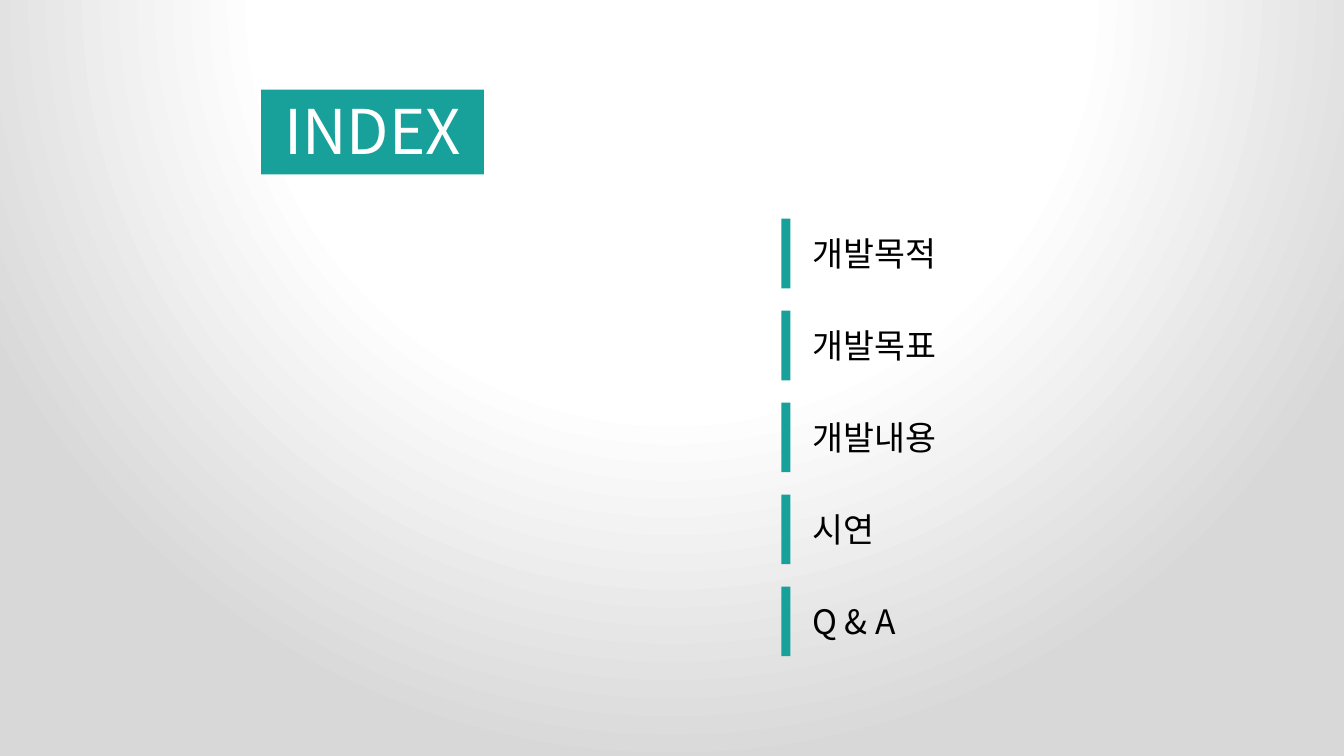
from lxml import etree
from pptx import Presentation
from pptx.dml.color import RGBColor
from pptx.enum import shapes, text
from pptx.oxml import ns, parse_xml
from pptx.util import Inches, Pt

TEAL = RGBColor(0x18, 0xA0, 0x9A)
WHITE = RGBColor(0xFF, 0xFF, 0xFF)
BLACK = RGBColor(0, 0, 0)
GREY = RGBColor(0xD8, 0xD8, 0xD8)
FONT = "Noto Sans CJK KR"

TOPICS = ["개발목적", "개발목표", "개발내용", "시연", "Q & A"]
TOP, STEP = 2.17, 3.65 / 4


class Deck:
    def __init__(self):
        self.prs = Presentation()
        self.prs.slide_width = Inches(13.33)
        self.prs.slide_height = Inches(7.5)
        self.slide = self.prs.slides.add_slide(self.prs.slide_layouts[5])

    def backdrop(self, stops):
        """Radial gradient centred above the slide."""
        fill = self.slide.background.fill
        fill.gradient()
        grad = next(self.slide.element.iter(ns.qn("a:gradFill")))
        for part in list(grad):
            grad.remove(part)
        marks = "".join(
            f'<a:gs pos="{pos * 1000}"><a:srgbClr val="{tone}"/></a:gs>'
            for pos, tone in stops)
        new = parse_xml(
            f'<a:gradFill {ns.nsdecls("a")}><a:gsLst>{marks}</a:gsLst>'
            '<a:path path="circle"><a:fillToRect l="50000" t="-80000" '
            'r="50000" b="180000"/></a:path></a:gradFill>')
        for part in list(new):
            grad.append(part)

    def place(self, shape, x, y, w, h):
        shape.left, shape.top = Inches(x), Inches(y)
        shape.width, shape.height = Inches(w), Inches(h)

    def letter(self, shape, words, size, color, align):
        frame = shape.text_frame
        frame.text = words
        frame.word_wrap = True
        frame.auto_size = text.MSO_AUTO_SIZE.NONE
        frame.vertical_anchor = text.MSO_ANCHOR.MIDDLE
        para = frame.paragraphs[0]
        para.alignment = align
        font = para.runs[0].font
        font.size = Pt(size)
        font.name = FONT
        font.color.rgb = color
        props = next(shape.element.iter(ns.qn("a:rPr")))
        east = etree.SubElement(props, ns.qn("a:ea"))
        east.set("typeface", FONT)

    def title(self, words, x, y, w, h):
        shape = self.slide.shapes.title
        self.place(shape, x, y, w, h)
        shape.fill.solid()
        shape.fill.fore_color.rgb = TEAL
        self.letter(shape, words, 44, WHITE, text.PP_ALIGN.CENTER)
        shape.text_frame.margin_top = 0

    def label(self, words, x, y, w, h):
        box = self.slide.shapes.add_textbox(
            Inches(x), Inches(y), Inches(w), Inches(h))
        self.letter(box, words, 24, BLACK, text.PP_ALIGN.LEFT)

    def bar(self, x, y, w, h):
        shape = self.slide.shapes.add_shape(
            shapes.MSO_SHAPE.RECTANGLE,
            Inches(x), Inches(y), Inches(w), Inches(h))
        shape.shadow.inherit = False
        shape.fill.solid()
        shape.fill.fore_color.rgb = TEAL
        shape.line.fill.background()


def main():
    deck = Deck()

    # Background and heading
    deck.backdrop([(11, WHITE), (53, WHITE), (100, GREY)])
    deck.title("INDEX", 2.59, 0.89, 2.21, 0.84)

    # Topics, each with a bar on its left
    for row, topic in enumerate(TOPICS):
        y = TOP + row * STEP
        deck.label(topic, 7.96, y + 0.09, 3.54, 0.5)
        deck.bar(7.75, y, 0.09, 0.69)

    deck.prs.save("out.pptx")


if __name__ == "__main__":
    main()
